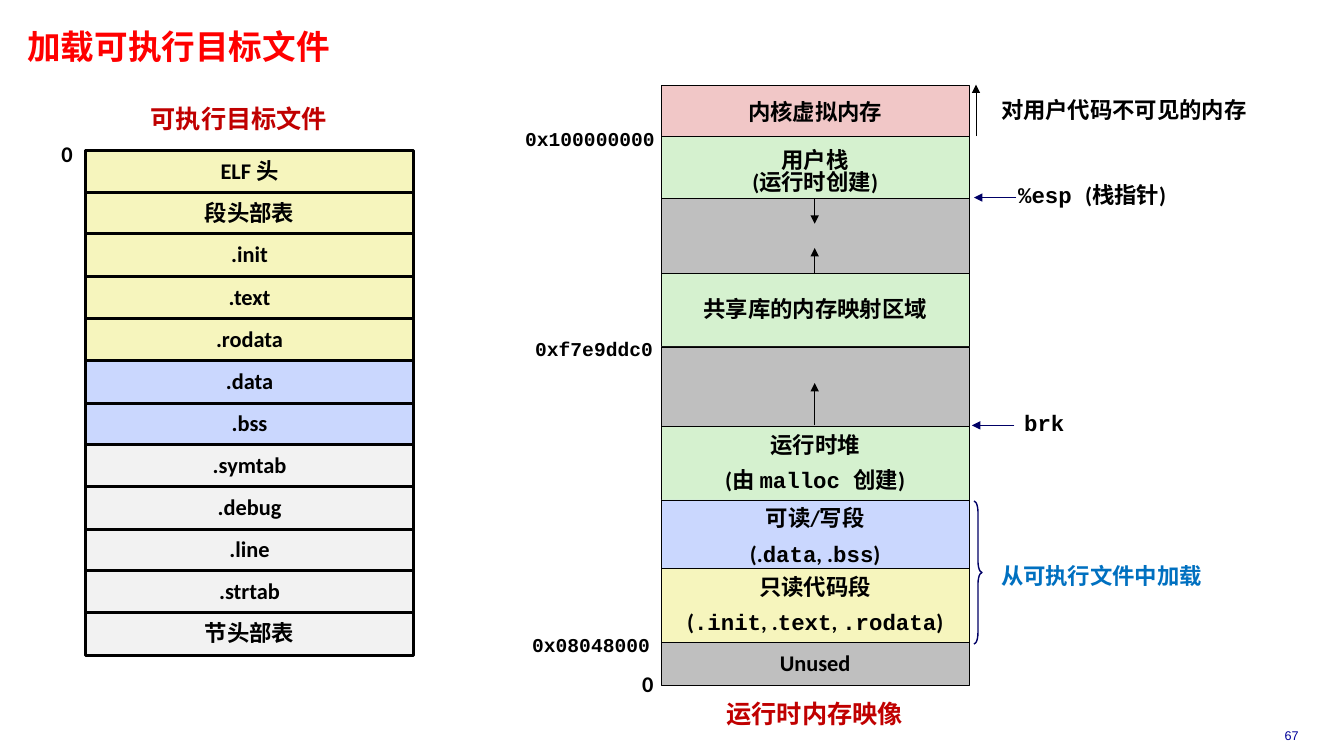
from dataclasses import dataclass
from typing import Any

from lxml.etree import SubElement
from pptx import Presentation
from pptx.dml.color import RGBColor
from pptx.enum.shapes import MSO_CONNECTOR, MSO_SHAPE
from pptx.enum.text import MSO_ANCHOR, MSO_AUTO_SIZE, PP_ALIGN
from pptx.oxml.ns import qn
from pptx.util import Pt

EMU_PER_PX = 9144
BLACK, NAVY, RED, DARK_RED, BLUE = "000000", "000066", "FF0000", "C00000", "0070C0"
YELLOW, PERIWINKLE, LIGHT, GREEN, PINK, GRAY = (
    "F6F5BD", "CAD7FE", "F2F2F2", "D5F1CF", "F1C7C7", "BFBFBF")
SECTION_LEFT, SECTION_WIDTH, SECTION_TOP, SECTION_BOTTOM = 85, 325, 149, 650
REGION_LEFT, REGION_WIDTH = 656, 305


@dataclass
class Section:
    name: str
    fill: str


@dataclass
class Region:
    top: int
    height: int
    fill: str
    lines: tuple[str, ...] = ()
    spacing: float = 0.98
    anchor: Any = MSO_ANCHOR.MIDDLE


@dataclass
class Label:
    text: str
    left: int
    top: int
    width: int
    height: int
    size: int = 16
    color: str = BLACK
    spacing: float = 0.98
    align: Any = PP_ALIGN.LEFT
    wrap: bool = False
    bold: bool = True
    font: str = "Calibri"


@dataclass
class Arrow:
    start: tuple[int, int]
    end: tuple[int, int]
    color: str = BLACK


SECTIONS = [
    Section("ELF 头", YELLOW),
    Section("段头部表", YELLOW),
    Section(".init", YELLOW),
    Section(".text", YELLOW),
    Section(".rodata", YELLOW),
    Section(".data", PERIWINKLE),
    Section(".bss", PERIWINKLE),
    Section(".symtab", LIGHT),
    Section(".debug", LIGHT),
    Section(".line", LIGHT),
    Section(".strtab", LIGHT),
    Section("节头部表", LIGHT),
]

# Backticks switch to the monospaced font.
REGIONS = [
    Region(85, 53, PINK, ("内核虚拟内存",)),
    Region(135, 62, GREEN, ("用户栈", "(运行时创建)"), 0.5, MSO_ANCHOR.BOTTOM),
    Region(197, 74, GRAY),
    Region(271, 73, GREEN, ("共享库的内存映射区域",)),
    Region(344, 79, GRAY),
    Region(423, 73, GREEN, ("运行时堆", "(由 `malloc 创建`)")),
    Region(496, 73, PERIWINKLE, ("可读/写段", "(.`data`, .`bss`)")),
    Region(564, 73, YELLOW, ("只读代码段", "(`.init`, .`text`, `.rodata`)")),
    Region(637, 43, GRAY, ("Unused",)),
]

LABELS = [
    Label("可执行目标文件", 138, 99, 198, 40, 18, DARK_RED, align=PP_ALIGN.CENTER),
    Label("0", 51, 135, 31, 37),
    Label("0", 627, 661, 31, 37),
    Label("`0x100000000`", 511, 123, 149, 33, 14, spacing=0.94),
    Label("`0xf7e9ddc0`", 521, 331, 137, 33, 14, spacing=0.94),
    Label("`0x08048000`", 518, 625, 137, 33, 14, spacing=0.94),
    Label("对用户代码不可见的内存", 983, 92, 269, 37),
    Label("`%esp `(栈指针)", 1000, 177, 202, 36, spacing=0.94, wrap=True),
    Label("`brk`", 1006, 403, 60, 36, spacing=0.94),
    Label("从可执行文件中加载", 983, 554, 235, 37, color=BLUE, wrap=True),
    Label("运行时内存映像", 709, 701, 198, 25, 18, DARK_RED, 0.5,
          PP_ALIGN.CENTER, font="Arial"),
    Label("67", 1234, 717, 94, 25, 9, "000099", 1.0, PP_ALIGN.CENTER,
          wrap=True, bold=False, font="Arial"),
]

ARROWS = [
    Arrow((808, 197), (808, 222)),
    Arrow((808, 272), (808, 246)),
    Arrow((808, 422), (808, 380)),
    Arrow((968, 135), (968, 84)),
    Arrow((1008, 196), (966, 196), NAVY),
    Arrow((1006, 422), (964, 422), NAVY),
]


def px(*lengths: int) -> list[int]:
    return [length * EMU_PER_PX for length in lengths]


def paint(color_format: Any, color: str) -> None:
    color_format.rgb = RGBColor.from_string(color)


def apply(target: Any, values: dict[str, Any]) -> None:
    for name, value in values.items():
        setattr(target, name, value)


def write(frame: Any, lines: tuple[str, ...], size: int, color: str, spacing: float,
          align: Any, font: str = "Calibri", bold: bool = True) -> None:
    for index, line in enumerate(lines):
        paragraph = frame.add_paragraph() if index else frame.paragraphs[0]
        apply(paragraph, {"alignment": align, "line_spacing": spacing,
                          "space_before": Pt(0.4 * size if index else 0)})
        for part, text in enumerate(line.split("`")):
            if text:
                run = paragraph.add_run()
                run.text = text
                apply(run.font, {"name": "Courier New" if part % 2 else font,
                                 "size": Pt(size), "bold": bold})
                paint(run.font.color, color)


def draw_box(slide: Any, left: int, width: int, region: Region, line_width: float) -> None:
    shape = slide.shapes.add_shape(
        MSO_SHAPE.RECTANGLE, *px(left, region.top, width, region.height))
    shape.shadow.inherit = False
    shape.fill.solid()
    paint(shape.fill.fore_color, region.fill)
    paint(shape.line.color, BLACK)
    shape.line.width = Pt(line_width)
    apply(shape.text_frame, {"word_wrap": False, "vertical_anchor": region.anchor})
    write(shape.text_frame, region.lines, 16, BLACK, region.spacing, PP_ALIGN.CENTER)


def draw_label(slide: Any, label: Label) -> None:
    shape = slide.shapes.add_textbox(*px(label.left, label.top, label.width, label.height))
    apply(shape.text_frame, {"word_wrap": label.wrap,
                             "auto_size": MSO_AUTO_SIZE.SHAPE_TO_FIT_TEXT})
    write(shape.text_frame, (label.text,), label.size, label.color, label.spacing,
          label.align, label.font, label.bold)


def draw_arrow(slide: Any, arrow: Arrow) -> None:
    connector = slide.shapes.add_connector(
        MSO_CONNECTOR.STRAIGHT, *px(*arrow.start, *arrow.end))
    paint(connector.line.color, arrow.color)
    connector.line.width = Pt(0.25)
    SubElement(connector.line._get_or_add_ln(), qn("a:tailEnd"), type="triangle")
    SubElement(connector._element.spPr, qn("a:effectLst"))


def draw_brace(slide: Any) -> None:
    brace = slide.shapes.add_shape(MSO_SHAPE.RIGHT_BRACE, *px(966, 497, 8, 142))
    brace.shadow.inherit = False
    brace.adjustments[0] = 1.42
    brace.fill.background()
    paint(brace.line.color, NAVY)
    brace.line.width = Pt(1)


def draw_title(slide: Any) -> None:
    title = slide.shapes.title
    apply(title, dict(zip(("left", "top", "width", "height"), px(5, 28, 795, 47))))
    margins = dict(zip(("margin_left", "margin_top", "margin_right", "margin_bottom"),
                       px(22, 3, 7, 3)))
    apply(title.text_frame, {**margins, "vertical_anchor": MSO_ANCHOR.TOP,
                             "auto_size": MSO_AUTO_SIZE.NONE})
    write(title.text_frame, ("加载可执行目标文件",), 24, RED, 0.87, PP_ALIGN.LEFT, "Arial")


def main() -> None:
    presentation = Presentation()
    presentation.slide_width, presentation.slide_height = px(1333, 750)
    slide = presentation.slides.add_slide(presentation.slide_layouts[5])
    draw_title(slide)
    pitch = (SECTION_BOTTOM - SECTION_TOP) / len(SECTIONS)
    for index, section in enumerate(SECTIONS):
        top = round(SECTION_TOP + index * pitch)
        bottom = round(SECTION_TOP + (index + 1) * pitch)
        row = Region(top, bottom - top, section.fill, (section.name,))
        draw_box(slide, SECTION_LEFT, SECTION_WIDTH, row, 2)
    for region in REGIONS:
        draw_box(slide, REGION_LEFT, REGION_WIDTH, region, 0.25)
    for arrow in ARROWS:
        draw_arrow(slide, arrow)
    draw_brace(slide)
    for label in LABELS:
        draw_label(slide, label)
    presentation.save("out.pptx")


if __name__ == "__main__":
    main()
